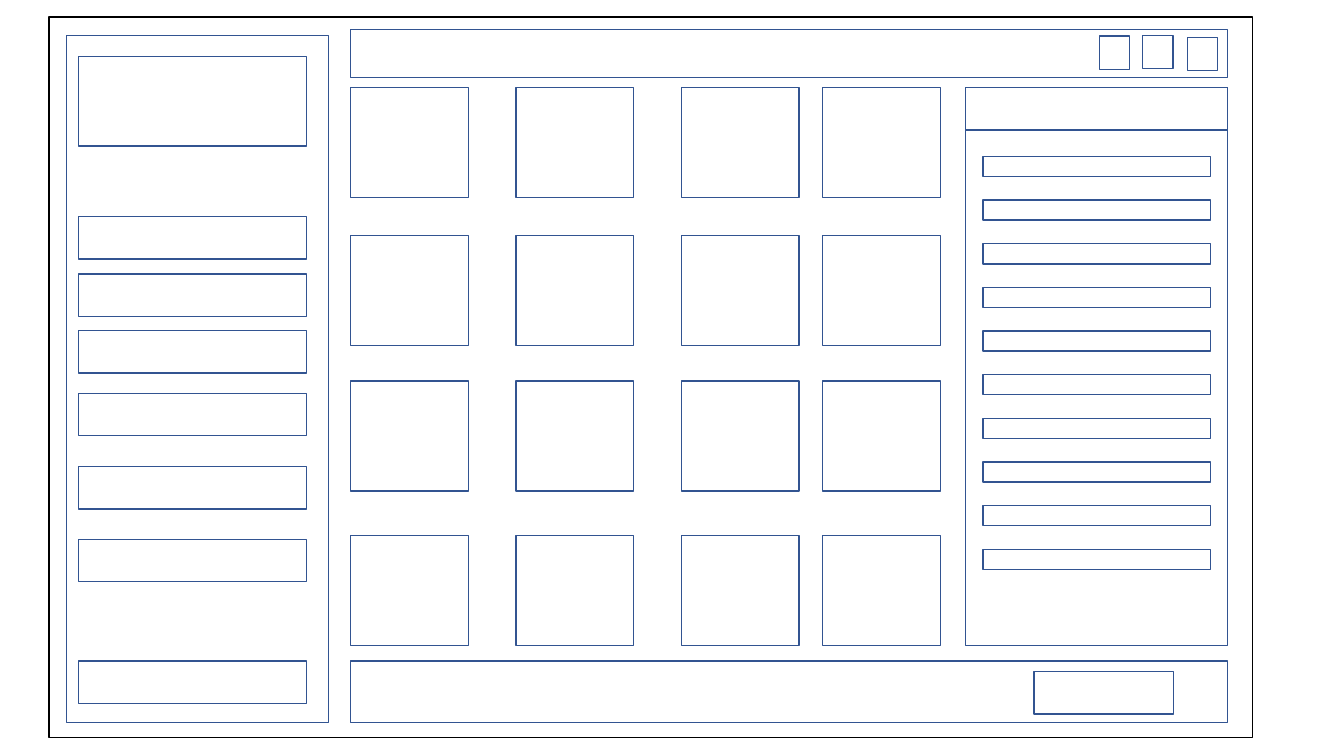
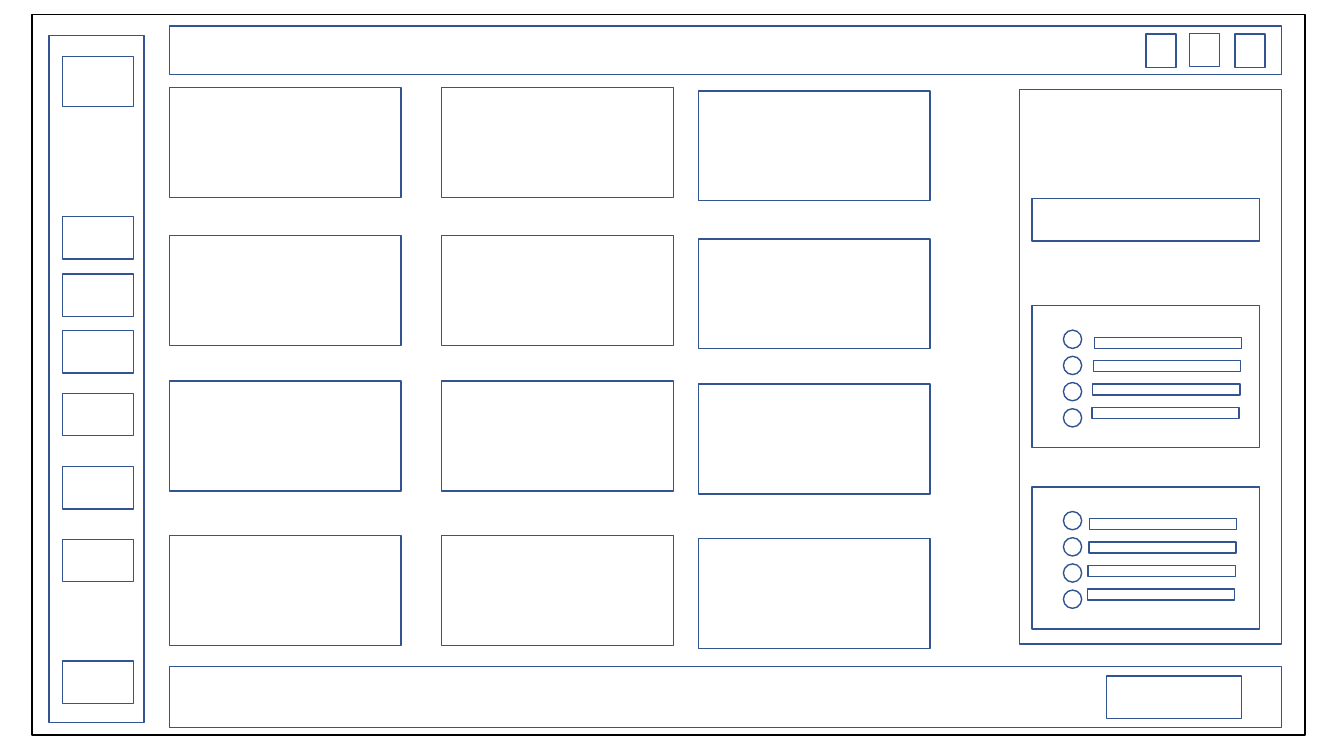
import pptx
import pptx.util
import pptx.dml.color
import pptx.enum.shapes

Cm = pptx.util.Cm
RECT = pptx.enum.shapes.MSO_SHAPE.RECTANGLE
OVAL = pptx.enum.shapes.MSO_SHAPE.OVAL
WHITE, BLACK, BLUE = "FFFFFF", "000000", "325491"

BUTTON_H = 1.07
SIDEBAR_TOP, SIDEBAR_H = 0.89, 17.32
MENU_TOPS = [5.46, 6.91, 8.33, 9.91, 11.76, 13.59, 16.66]
TILE_TOPS, TILE_H = [2.21, 5.94, 9.6, 13.49], 2.77
PANEL_W, FIELD_W = 6.6, 5.74


def rgb(color):
    return pptx.dml.color.RGBColor.from_string(color)


def box(s, x, y, w, h, line=BLUE, kind=RECT):
    sp = s.shapes.add_shape(kind, Cm(x), Cm(y), Cm(w), Cm(h))
    sp.shadow.inherit = False
    sp.fill.solid()
    sp.fill.fore_color.rgb = rgb(WHITE)
    sp.line.color.rgb = rgb(line)
    sp.line.width = pptx.util.Pt(1)


prs = pptx.Presentation()
prs.slide_width, prs.slide_height = Cm(33.87), Cm(19.05)

layouts = [
    {
        "frame": (1.24, 0.43, 30.33, 18.16),
        "sidebar": (1.68, 6.6),
        "menu": (1.98, 5.74),
        "menu_head_h": 2.26,
        "header": (8.84, 0.74, 22.1, 1.22),
        "icons": [(27.71, 0.91), (28.8, 0.89), (29.92, 0.94)],
        "tile_w": 2.97,
        "columns": [(8.84, 0), (13, 0), (17.17, 0), (20.73, 0)],
        "panel": (24.33, 2.21, PANEL_W, 14.05),
        "footer": (8.84, 16.66, 22.1, 1.55),
        "button": (26.06, 16.92, 3.51, BUTTON_H),
    },
    {
        "frame": (0.81, 0.36, 32.08, 18.16),
        "sidebar": (1.24, 2.39),
        "menu": (1.57, 1.8),
        "menu_head_h": 1.27,
        "header": (4.27, 0.66, 28.02, 1.22),
        "icons": [(28.88, 0.86), (29.97, 0.84), (31.12, 0.86)],
        "tile_w": 5.84,
        "columns": [(4.27, 0), (11.13, 0), (17.6, 0.08)],
        "panel": (25.7, 2.26, PANEL_W, 13.97),
        "footer": (4.27, 16.79, 28.02, 1.55),
        "button": (27.89, 17.04, 3.4, BUTTON_H),
    },
]

slides = []
for layout in layouts:
    s = prs.slides.add_slide(prs.slide_layouts[6])
    slides.append(s)
    box(s, *layout["frame"], line=BLACK)

    sidebar_x, sidebar_w = layout["sidebar"]
    box(s, sidebar_x, SIDEBAR_TOP, sidebar_w, SIDEBAR_H)
    menu_x, menu_w = layout["menu"]
    box(s, menu_x, 1.42, menu_w, layout["menu_head_h"])
    for y in MENU_TOPS:
        box(s, menu_x, y, menu_w, BUTTON_H)

    for x, drop in layout["columns"]:
        for y in TILE_TOPS:
            box(s, x, y + drop, layout["tile_w"], TILE_H)

    for part in ("header", "panel", "footer", "button"):
        box(s, *layout[part])
    for x, y in layout["icons"]:
        box(s, x, y, 0.76, 0.84)

list_slide, card_slide = slides

box(list_slide, 24.33, 2.21, PANEL_W, BUTTON_H)
for i in range(10):
    box(list_slide, 24.77, 3.94 + 1.1 * i, FIELD_W, 0.51)

box(card_slide, 26.01, 5, FIELD_W, BUTTON_H)
for card_y, bar_x in [(7.7, 27.58), (12.27, 27.46)]:
    box(card_slide, 26.01, card_y, FIELD_W, 3.58)
    for i in range(4):
        box(card_slide, 26.8, card_y + 0.62 + 0.66 * i, 0.46, 0.46, kind=OVAL)
        box(card_slide, bar_x - 0.02 * i, card_y + 0.8 + 0.59 * i, 3.71, 0.28)

prs.save("out.pptx")
